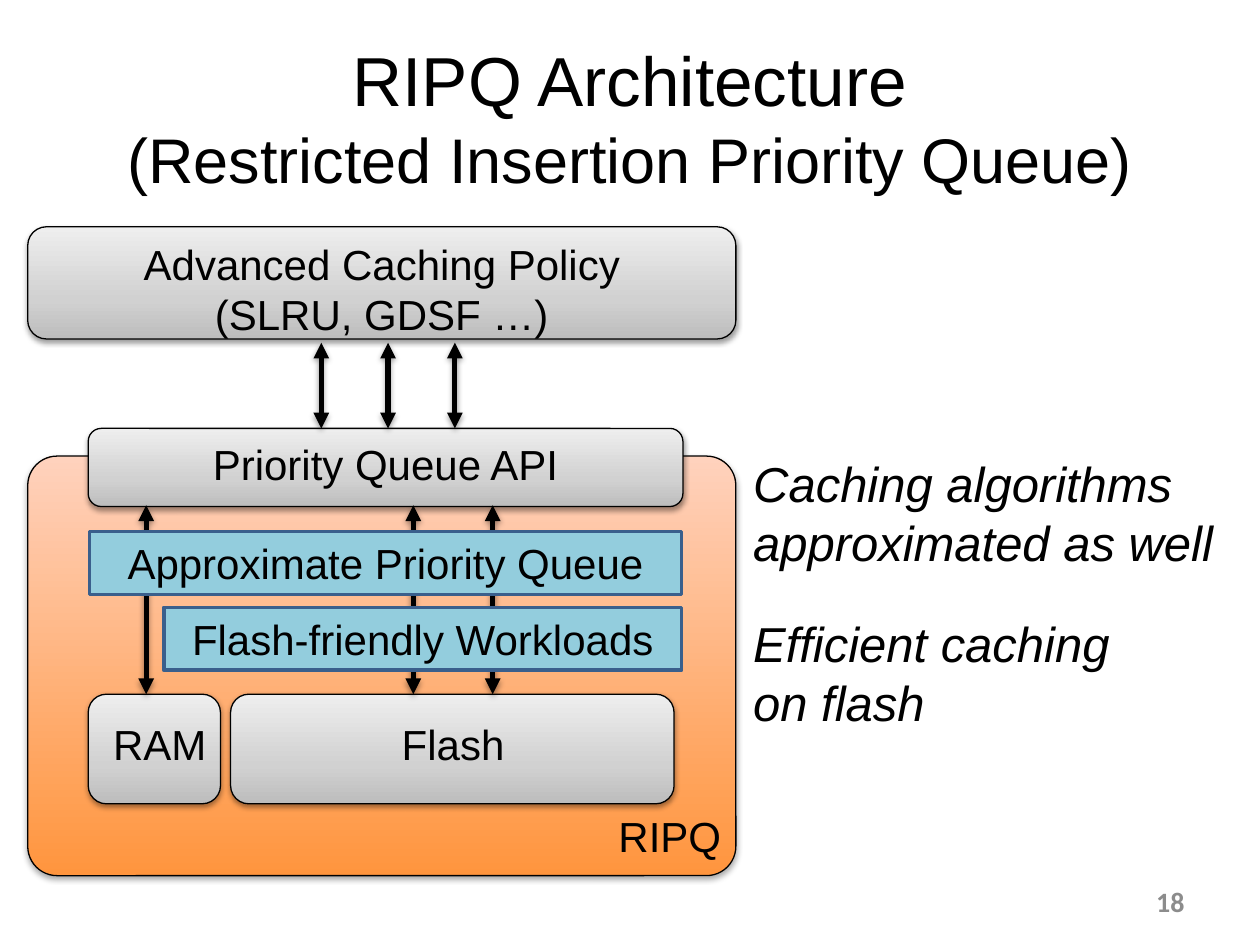
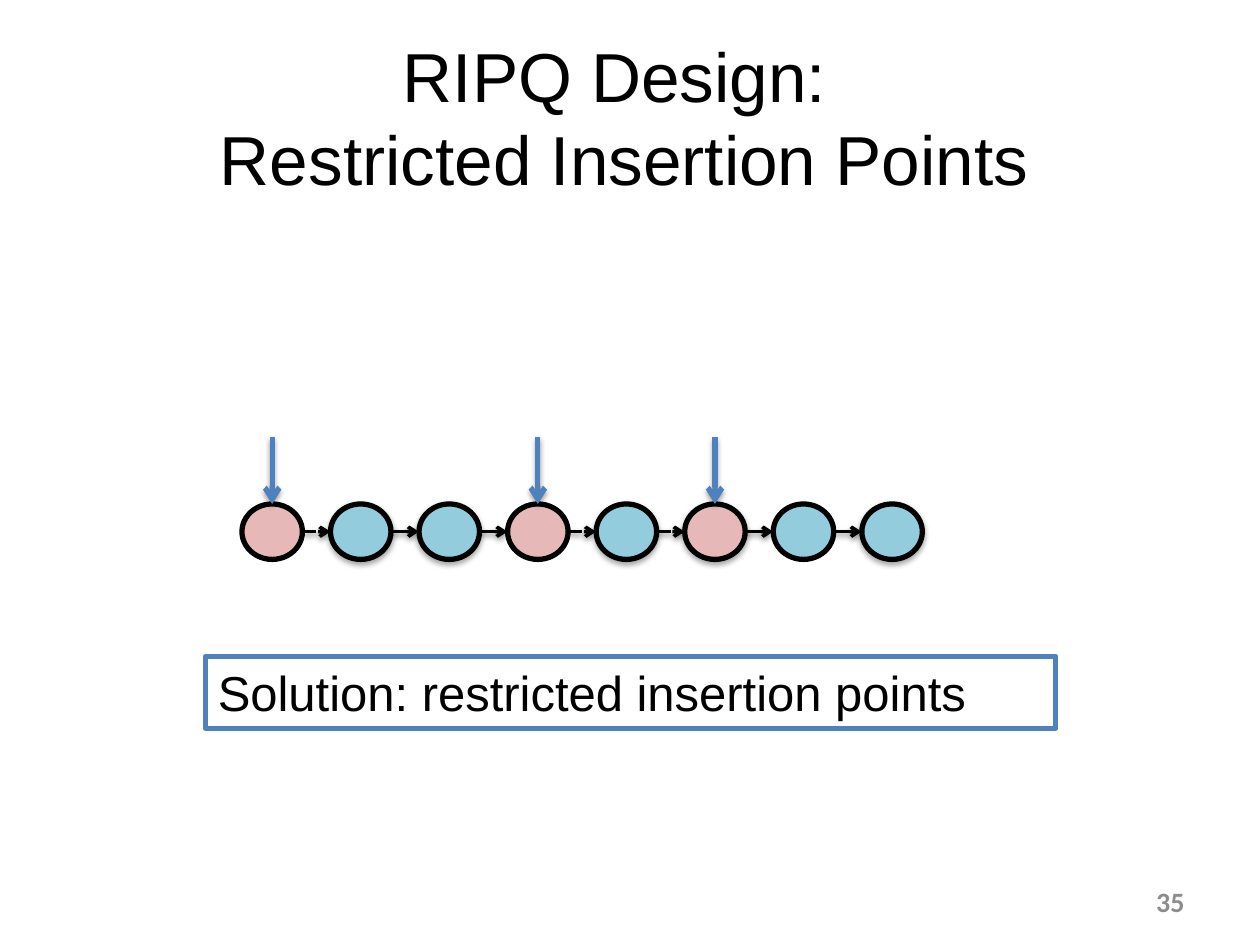
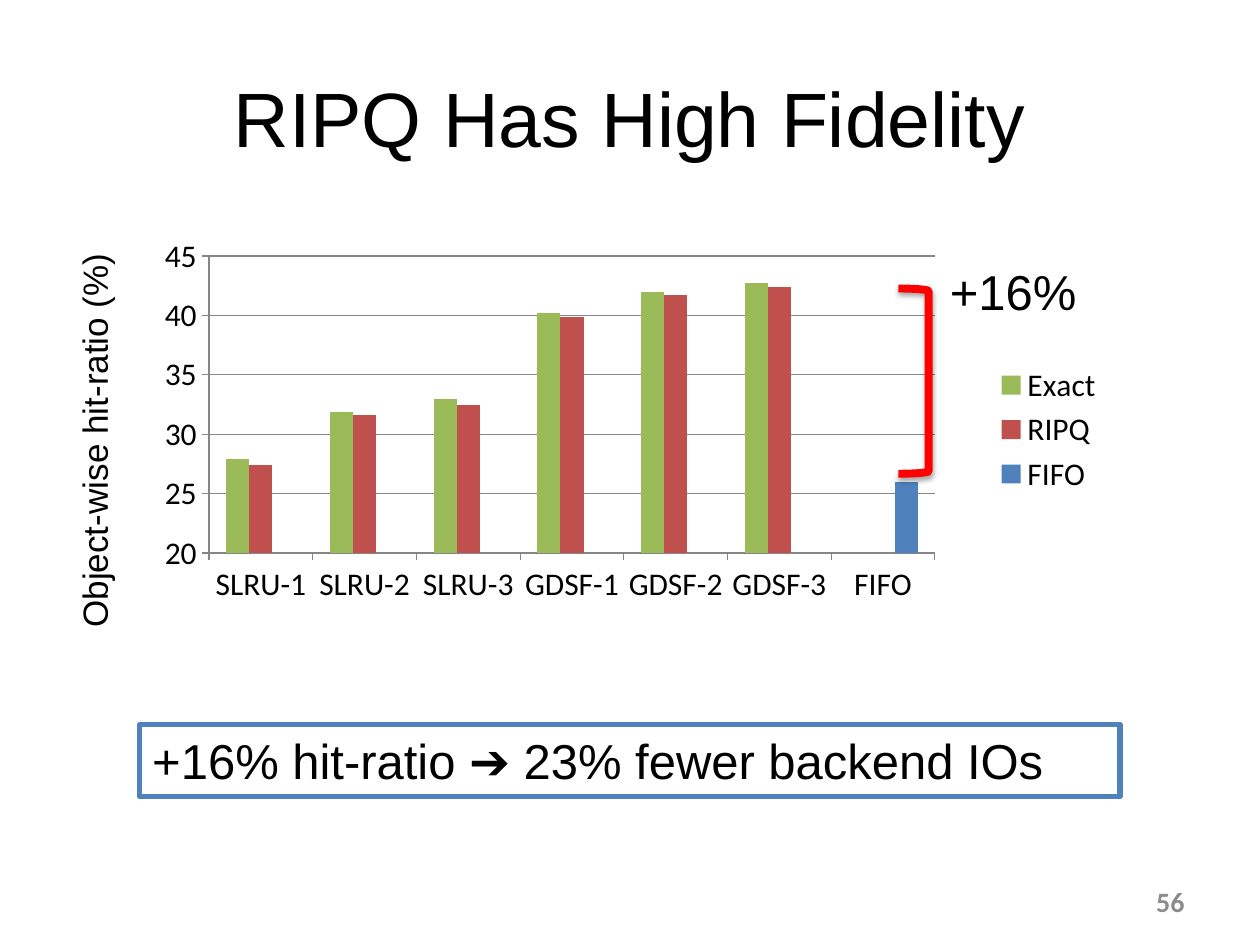
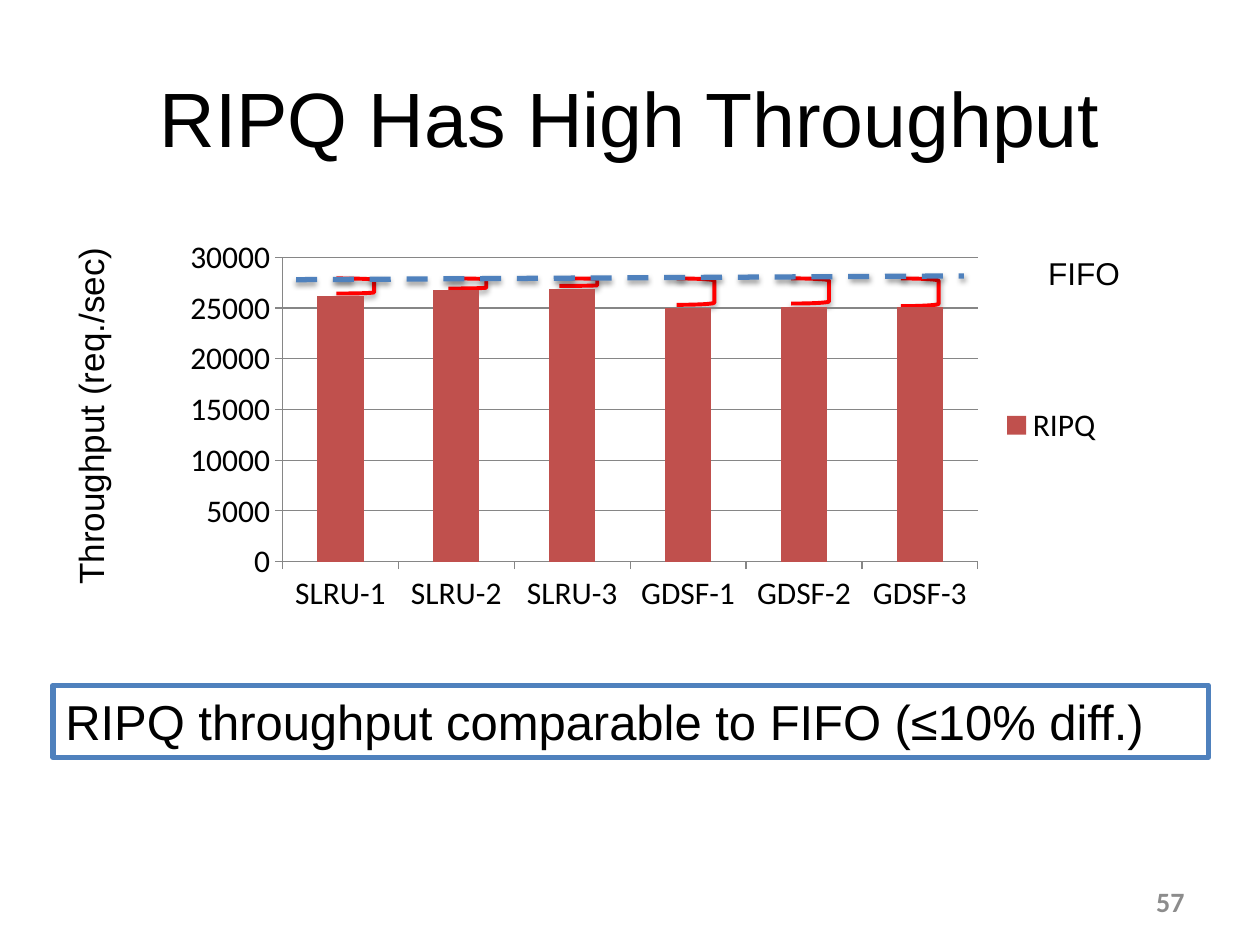
from dataclasses import dataclass

from lxml.etree import SubElement
from pptx import Presentation
from pptx.chart.data import CategoryChartData
from pptx.dml.color import RGBColor
from pptx.enum.chart import XL_CHART_TYPE as ChartType, XL_LEGEND_POSITION as LegendPosition
from pptx.enum.chart import XL_TICK_MARK as TickMark
from pptx.enum.dml import MSO_LINE_DASH_STYLE as Dash
from pptx.enum.shapes import MSO_CONNECTOR_TYPE as Connector, MSO_SHAPE as Shape
from pptx.enum.text import MSO_ANCHOR as Anchor, MSO_AUTO_SIZE as AutoSize, PP_ALIGN as Align
from pptx.oxml import parse_xml
from pptx.oxml.ns import nsdecls, qn
from pptx.util import Inches, Pt

COLORS = {
    "black": "000000", "white": "FFFFFF", "number": "8C8C8C", "axis": "868686",
    "blue": "4F81BD", "edge": "3A5F8C", "sky": "93CDDD", "pink": "E6B9B8",
    "green": "9BBB59", "brick": "C0504D", "red": "FF0000",
}
GRADIENTS = {
    "gray": [(0, "BDBDBD"), (35, "D1D1D1"), (100, "EEEEEE")],
    "orange": [(0, "FF953E"), (100, "FFD2BD")],
}
# opacity in percent, distance in points
SHADOWS = {"soft": (38, 1.57), "deep": (35, 1.81)}
TEXT_FONT, NUMBER_FONT = "Arial", "Calibri"
POLICIES = ["SLRU-1", "SLRU-2", "SLRU-3", "GDSF-1", "GDSF-2", "GDSF-3"]


@dataclass
class Box:
    left: float
    top: float
    width: float
    height: float

    def inner(self, across, down, width, height):
        return Box(self.left + across, self.top + down, width, height)

    def point(self, across, down):
        return self.left + across, self.top + down

    def lengths(self):
        return [Inches(value) for value in (self.left, self.top, self.width, self.height)]


def color(name):
    return RGBColor.from_string(COLORS[name])


# ---- Shared text and drawing helpers ----

def write(frame, text, sizes, align=Align.LEFT, anchor=Anchor.TOP, wrap=True,
          font=TEXT_FONT, tint="black", bold=False, italic=False):
    """Write one paragraph; each line takes its size from sizes, the last one repeating."""
    frame.auto_size = AutoSize.NONE
    frame.word_wrap = wrap
    frame.vertical_anchor = anchor
    para = frame.paragraphs[0]
    para.alignment = align
    for index, line in enumerate(text.split("\n")):
        if index:
            para.add_line_break()
        span = para.add_run()
        span.text = line
        span.font.name = font
        span.font.size = Pt(sizes[min(index, len(sizes) - 1)])
        span.font.color.rgb = color(tint)
        span.font.bold = bold
        span.font.italic = italic


def add_label(page, box, text, size, **style):
    label = page.shapes.add_textbox(*box.lengths())
    write(label.text_frame, text, [size], **style)
    return label


def add_shadow(effects, kind):
    opacity, distance = SHADOWS[kind]
    shadow = SubElement(effects, qn("a:outerShdw"), blurRad=str(Pt(3.15)),
                        dist=str(Pt(distance)), dir="5400000", rotWithShape="0")
    tint = SubElement(shadow, qn("a:srgbClr"), val=COLORS["black"])
    SubElement(tint, qn("a:alpha"), val=str(opacity * 1000))


def fill_gradient(shape, name):
    shape.fill.gradient()
    shape.fill.gradient_angle = 90
    stops = shape._element.spPr.find(qn("a:gradFill")).find(qn("a:gsLst"))
    for stop in list(stops):
        stops.remove(stop)
    for position, tint in GRADIENTS[name]:
        stop = SubElement(stops, qn("a:gs"), pos=str(position * 1000))
        SubElement(stop, qn("a:srgbClr"), val=tint)


def add_figure(page, kind, box, fill=None, line="black", weight=0.75, shadow=None):
    figure = page.shapes.add_shape(kind, *box.lengths())
    figure.shadow.inherit = False
    if fill in GRADIENTS:
        fill_gradient(figure, fill)
    elif fill:
        figure.fill.solid()
        figure.fill.fore_color.rgb = color(fill)
    else:
        figure.fill.background()
    figure.line.color.rgb = color(line)
    figure.line.width = Pt(weight)
    if shadow:
        add_shadow(figure._element.spPr.find(qn("a:effectLst")), shadow)
    return figure


def add_line(page, start, end, tint="black", weight=3.0, head=None, tail=None, dashed=False):
    line = page.shapes.add_connector(
        Connector.STRAIGHT, *[Inches(value) for value in (*start, *end)])
    line.line.color.rgb = color(tint)
    line.line.width = Pt(weight)
    if dashed:
        line.line.dash_style = Dash.DASH
    outline = line._element.spPr.find(qn("a:ln"))
    for tag, arrow in (("a:headEnd", head), ("a:tailEnd", tail)):
        if arrow:
            SubElement(outline, qn(tag), type=arrow)
    add_shadow(SubElement(line._element.spPr, qn("a:effectLst")), "soft")


def add_page(deck, title, sizes, number, box=Box(0.5, 0.3, 9, 1.25)):
    page = deck.slides.add_slide(deck.slide_layouts[5])
    heading = page.shapes.title
    heading.left, heading.top, heading.width, heading.height = box.lengths()
    write(heading.text_frame, title, sizes, Align.CENTER, Anchor.MIDDLE)
    add_label(page, Box(7.17, 6.95, 2.33, 0.4), str(number), 16, align=Align.RIGHT,
              anchor=Anchor.MIDDLE, font=NUMBER_FONT, tint="number", bold=True)
    return page


def add_takeaway(page, box, text):
    frame = add_figure(page, Shape.RECTANGLE, box, "white", "blue", 3)
    write(frame.text_frame, text, [28])


# ---- Architecture ----

def add_block(page, box, text=None):
    block = add_figure(page, Shape.ROUNDED_RECTANGLE, box, "gray", shadow="soft")
    if text:
        write(block.text_frame, text, [24], Align.CENTER)


def draw_architecture(page, box):
    # Policy on top, queue body below
    add_block(page, box.inner(0, 0, box.width, 0.89), "Advanced Caching Policy\n(SLRU, GDSF …)")
    body = add_figure(page, Shape.ROUNDED_RECTANGLE, box.inner(0, 1.82, box.width, 3.33),
                      "orange", shadow="deep")
    body.adjustments[0] = 0.07
    add_label(page, box.inner(4.59, 4.58, 1.31, 0.5), "RIPQ", 24)
    add_block(page, box.inner(0.48, 1.6, 4.72, 0.62), "Priority Queue API")

    # Storage
    for across, width, name, label_left, label_width in (
            (0.48, 1.05, "RAM", 0.58, 0.96), (1.61, 3.52, "Flash", 2.87, 1.04)):
        add_block(page, box.inner(across, 3.71, width, 0.87))
        add_label(page, box.inner(label_left, 3.85, label_width, 0.5), name, 24, wrap=False)

    # Two-way arrows above and below the API
    for columns, top, bottom in (((2.33, 2.86, 3.39), 0.92, 1.6),
                                 ((0.94, 3.06, 3.69), 2.21, 3.71)):
        for across in columns:
            add_line(page, box.point(across, top), box.point(across, bottom),
                     head="triangle", tail="triangle")

    # Layers over the arrows
    for across, down, width, name in ((1.08, 3.02, 4.11, "Flash-friendly Workloads"),
                                      (0.49, 2.42, 4.7, "Approximate Priority Queue")):
        layer = add_figure(page, Shape.RECTANGLE, box.inner(across, down, width, 0.5),
                           "sky", "edge", 2)
        write(layer.text_frame, name, [24], Align.CENTER)


def draw_benefits(page, box):
    for down, text in ((0, "Caching algorithms\napproximated as well"),
                       (1.27, "Efficient caching\non flash")):
        add_label(page, box.inner(0, down, box.width, 1.04), text, 28, italic=True)


# ---- Queue with insertion points ----

def draw_queue(page, box, count=8, insertions=(0, 3, 5), dashed=(0, 3, 4), flat=(0, 3, 6)):
    node_width, node_height = 0.48, 0.44
    node_top = box.height - node_height
    step = (box.width - node_width) / (count - 1)
    for index in range(count):
        across = index * step
        add_figure(page, Shape.OVAL, box.inner(across, node_top, node_width, node_height),
                   "pink" if index in insertions else "sky", weight=3,
                   shadow=None if index in flat else "deep")
        if index < count - 1:
            middle = node_top + node_height / 2
            add_line(page, box.point(across + node_width, middle),
                     box.point(across + step, middle), weight=2, tail="arrow",
                     dashed=index in dashed)
    for index in insertions:
        center = index * step + node_width / 2
        add_line(page, box.point(center, 0), box.point(center, node_top), "blue", tail="arrow")


# ---- Charts ----

def add_axis_title(page, box, text):
    label = add_label(page, box, text, 20)
    label.text_frame._txBody.bodyPr.set("vert", "vert270")


def add_column_chart(page, box, categories, series, minimum, major=None):
    data = CategoryChartData()
    data.categories = categories
    for name, values, _ in series:
        data.add_series(name, values)
    chart = page.shapes.add_chart(ChartType.COLUMN_CLUSTERED, *box.lengths(), data).chart
    chart.has_title = False
    chart.font.name = NUMBER_FONT
    chart.font.size = Pt(18)
    chart.font.color.rgb = color("black")
    chart.has_legend = True
    chart.legend.position = LegendPosition.RIGHT
    chart.legend.include_in_layout = False

    plot = chart.plots[0]
    plot.gap_width = 150
    plot.vary_by_categories = False
    for column, (_, _, tint) in zip(plot.series, series):
        column.format.fill.solid()
        column.format.fill.fore_color.rgb = color(tint)

    value_axis = chart.value_axis
    value_axis.minimum_scale = minimum
    if major:
        value_axis.major_unit = major
    value_axis.has_major_gridlines = True
    value_axis.major_gridlines.format.line.color.rgb = color("axis")
    for axis in (chart.category_axis, value_axis):
        axis.major_tick_mark = TickMark.OUTSIDE
        axis.format.line.color.rgb = color("axis")
    return chart


def set_plot_area(chart, left, top, width, height):
    area = chart._chartSpace.chart.plotArea
    for layout in area.findall(qn("c:layout")):
        area.remove(layout)
    area.insert(0, parse_xml(
        f'<c:layout {nsdecls("c")}><c:manualLayout><c:layoutTarget val="inner"/>'
        f'<c:xMode val="edge"/><c:yMode val="edge"/><c:x val="{left}"/><c:y val="{top}"/>'
        f'<c:w val="{width}"/><c:h val="{height}"/></c:manualLayout></c:layout>'))


def add_bracket(page, box, weight):
    add_figure(page, Shape.RIGHT_BRACKET, box, line="red", weight=weight, shadow="deep")


def draw_fidelity(page, box):
    add_axis_title(page, box.inner(-0.33, -0.06, 0.54, 3.26), "Object-wise hit-ratio (%)")
    chart = add_column_chart(page, box, POLICIES + ["FIFO"], [
        ("Exact", [27.9, 31.9, 33, 40.2, 42, 42.7, None], "green"),
        ("RIPQ", [27.4, 31.6, 32.5, 39.9, 41.7, 42.4, None], "brick"),
        ("FIFO", [None] * len(POLICIES) + [26], "blue"),
    ], minimum=20)
    set_plot_area(chart, 0.1, 0.05, 0.72, 0.77)
    # Gain over FIFO
    add_bracket(page, box.inner(6.27, 0.41, 0.24, 1.47), 4.5)
    add_label(page, box.inner(6.58, 0.15, 1.27, 0.57), "+16%", 28)


def draw_throughput(page, box):
    add_axis_title(page, box.inner(-0.86, -0.23, 0.54, 3.14), "Throughput (req./sec)")
    # Gaps to the FIFO level
    for across, height in ((1.31, 0.12), (2.2, 0.08), (3.08, 0.06),
                           (4.01, 0.21), (4.92, 0.2), (5.79, 0.22)):
        add_bracket(page, box.inner(across, 0.38, 0.3, height), 2.25)
    add_column_chart(page, box, POLICIES, [
        ("RIPQ", [26200, 26800, 26900, 25000, 25100, 25100], "brick"),
    ], minimum=0, major=5000)
    # FIFO level
    add_line(page, box.point(0.99, 0.39), box.point(6.29, 0.36), "blue", dashed=True)
    add_label(page, box.inner(6.86, 0.14, 2.31, 0.4), "FIFO", 18)


def main():
    deck = Presentation()
    deck.slide_width, deck.slide_height = Inches(10), Inches(7.5)

    page = add_page(deck, "RIPQ Architecture\n(Restricted Insertion Priority Queue)",
                    [39.6, 36], 18)
    draw_architecture(page, Box(0.22, 1.8, 5.62, 5.15))
    draw_benefits(page, Box(5.88, 3.55, 4.26, 2.31))

    page = add_page(deck, "RIPQ Design: \nRestricted Insertion Points", [39.6], 35,
                    Box(0.25, 0.3, 9.41, 1.25))
    add_takeaway(page, Box(1.63, 5.21, 6.75, 0.57), "Solution: restricted insertion points")
    draw_queue(page, Box(1.92, 3.47, 5.4, 0.97))

    page = add_page(deck, "RIPQ Has High Fidelity", [44], 56)
    draw_fidelity(page, Box(0.86, 1.88, 8, 3.06))
    add_takeaway(page, Box(1.11, 5.75, 7.78, 0.57), "+16% hit-ratio ➔ 23% fewer backend IOs")

    page = add_page(deck, "RIPQ Has High Throughput", [44], 57)
    draw_throughput(page, Box(1.36, 1.83, 7.5, 3.09))
    add_takeaway(page, Box(0.42, 5.44, 9.17, 0.57),
                 "RIPQ throughput comparable to FIFO (≤10% diff.)")

    deck.save("out.pptx")


if __name__ == "__main__":
    main()
